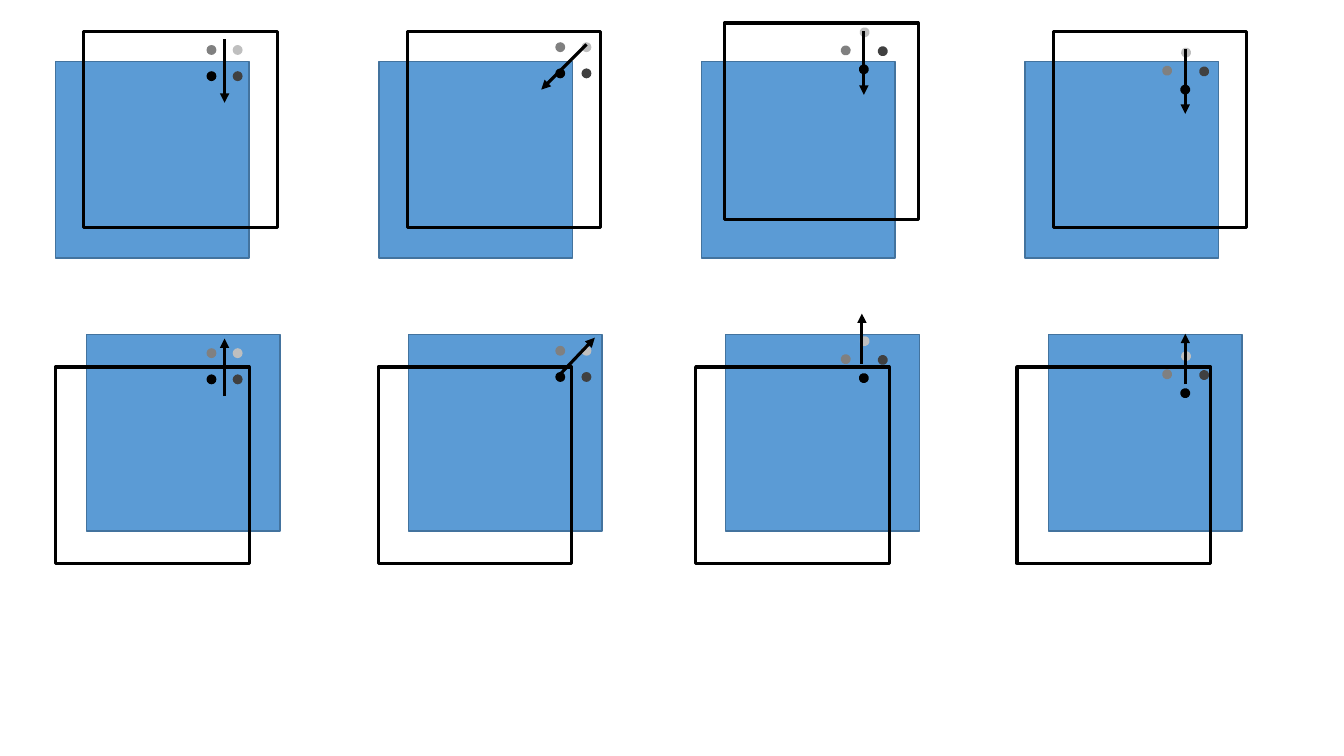
from dataclasses import dataclass
from math import cos, radians, sin

from lxml import etree
from pptx import Presentation
from pptx.dml.color import RGBColor
from pptx.enum import shapes
from pptx.oxml import ns
from pptx.util import Cm, Pt

# Each panel, in cm: corner of the blue square, corner of the frame,
# centre of the four dots, turn of the dots in degrees, arrow start and end.
PANELS = [
    ((1.40, 1.55), (2.11, 0.79), (5.66, 1.59), 0, (5.66, 0.99), (5.66, 2.59)),
    ((9.55, 1.55), (10.26, 0.79), (14.45, 1.52), 0, (14.78, 1.12), (13.64, 2.26)),
    ((17.68, 1.55), (18.26, 0.58), (21.78, 1.28), -43.8, (21.77, 0.79), (21.77, 2.39)),
    ((25.83, 1.55), (26.54, 0.79), (29.88, 1.79), -43.8, (29.87, 1.24), (29.87, 2.87)),
    ((2.18, 8.43), (1.40, 9.25), (5.66, 9.23), 0, (5.66, 9.98), (5.66, 8.53)),
    ((10.29, 8.43), (9.53, 9.25), (14.45, 9.17), 0, (14.05, 9.50), (14.99, 8.51)),
    ((18.29, 8.43), (17.53, 9.25), (21.78, 9.06), -43.8, (21.72, 9.17), (21.72, 7.90)),
    ((26.42, 8.43), (25.63, 9.25), (29.88, 9.44), -43.8, (29.87, 9.68), (29.87, 8.41)),
]
# Colour and place of each dot before the group is turned
DOTS = [("000000", -1, 1), ("404040", 1, 1), ("808080", -1, -1), ("BFBFBF", 1, -1)]
SQUARE = (4.88, 4.95)
DOT_SIZE = 0.25
DOT_OFFSET = 0.33


@dataclass(frozen=True)
class Theme:
    blue: str = "5B9BD5"
    blue_edge: str = "43739E"
    black: str = "000000"
    thin: float = 1
    thick: float = 2.25


THEME = Theme()
RECTANGLE = shapes.MSO_SHAPE.RECTANGLE
OVAL = shapes.MSO_SHAPE.OVAL


def set_line(line, colour, width):
    line.color.rgb = RGBColor.from_string(colour)
    line.width = Pt(width)


def add_figure(parent, kind, corner, size, fill=None, edge=None, width=0):
    shape = parent.add_shape(kind, *map(Cm, corner + size))
    shape.shadow.inherit = False
    if fill:
        shape.fill.solid()
        shape.fill.fore_color.rgb = RGBColor.from_string(fill)
    else:
        shape.fill.background()
    if edge:
        set_line(shape.line, edge, width)
    else:
        shape.line.fill.background()
    return shape


def add_dots(slide, centre, turn):
    """Group four dots on the corners of a small square turned about its centre."""
    group = slide.shapes.add_group_shape()
    c, s = cos(radians(turn)), sin(radians(turn))
    for colour, column, row in DOTS:
        x = centre[0] + DOT_OFFSET * (column * c - row * s) - DOT_SIZE / 2
        y = centre[1] + DOT_OFFSET * (column * s + row * c) - DOT_SIZE / 2
        dot = add_figure(group.shapes, OVAL, (x, y), (DOT_SIZE, DOT_SIZE), fill=colour)
        dot.rotation = turn


def add_arrow(slide, start, end):
    arrow = slide.shapes.add_connector(
        shapes.MSO_CONNECTOR.STRAIGHT, *map(Cm, start + end))
    set_line(arrow.line, THEME.black, THEME.thick)
    properties = arrow._element.spPr
    etree.SubElement(properties.find(ns.qn("a:ln")), ns.qn("a:tailEnd"), type="triangle")
    etree.SubElement(properties, ns.qn("a:effectLst"))


def main():
    presentation = Presentation()
    presentation.slide_width, presentation.slide_height = Cm(33.87), Cm(19.05)
    slide = presentation.slides.add_slide(presentation.slide_layouts[6])
    for blue, frame, *_ in PANELS:
        add_figure(slide.shapes, RECTANGLE, blue, SQUARE,
                   fill=THEME.blue, edge=THEME.blue_edge, width=THEME.thin)
        add_figure(slide.shapes, RECTANGLE, frame, SQUARE,
                   edge=THEME.black, width=THEME.thick)
    for _, _, centre, turn, *_ in PANELS:
        add_dots(slide, centre, turn)
    for *_, start, end in PANELS:
        add_arrow(slide, start, end)
    presentation.save("out.pptx")


if __name__ == "__main__":
    main()
